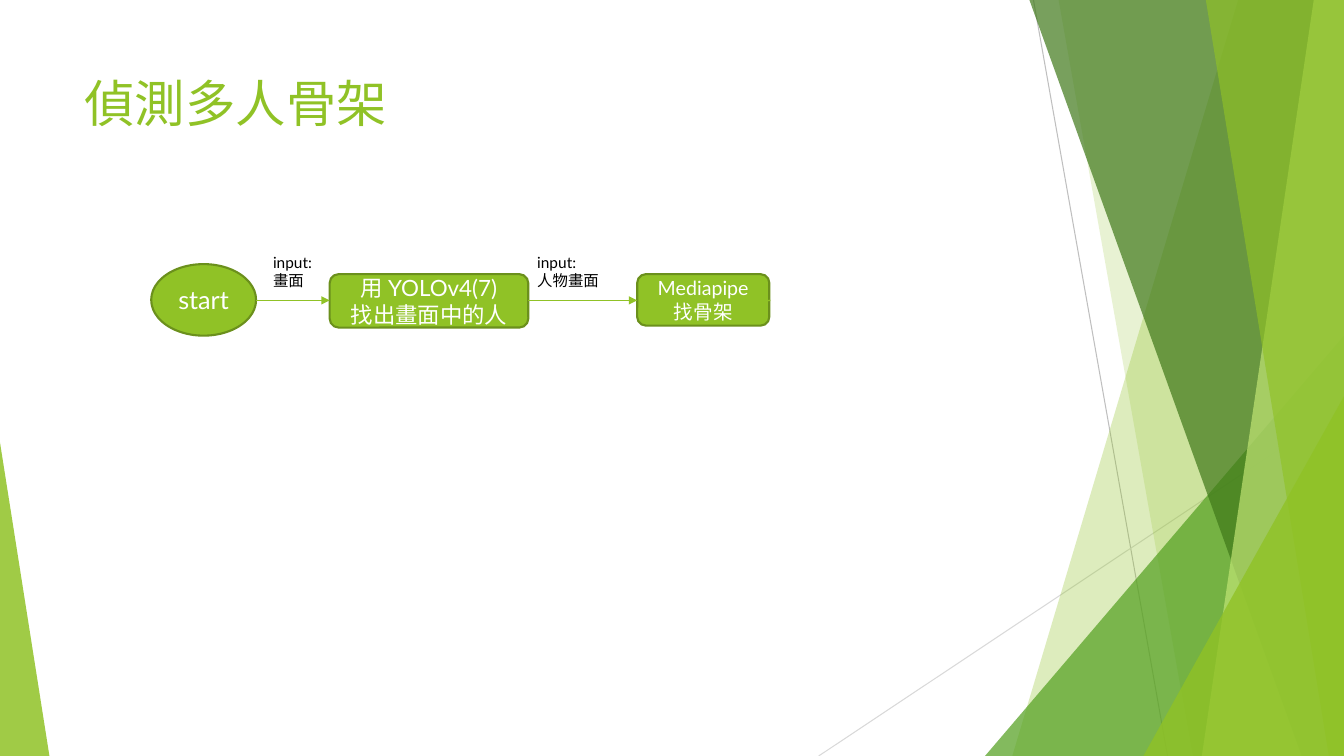
import pptx
import pptx.util
import pptx.dml.color
import pptx.enum.shapes
import pptx.enum.text
import pptx.oxml
import pptx.oxml.ns
from pptx.util import Inches

WIDTH, HEIGHT = 13.33, 7.5
SHAPES = pptx.enum.shapes.MSO_SHAPE
LEFT = pptx.enum.text.PP_ALIGN.LEFT
CENTER = pptx.enum.text.PP_ALIGN.CENTER
TOP = pptx.enum.text.MSO_ANCHOR.TOP
MIDDLE = pptx.enum.text.MSO_ANCHOR.MIDDLE
GREEN, DARK_GREEN = "90C226", "6B901C"


def color(value):
    return pptx.dml.color.RGBColor.from_string(value)


def append_element(parent, tag, **values):
    element = pptx.oxml.parse_xml(f"<{tag} {pptx.oxml.ns.nsdecls('a')}/>")
    for name, value in values.items():
        element.set(name, value)
    parent.append(element)


class SlideBuilder:
    font = "Lato"

    def __init__(self, slide):
        self.slide = slide
        self.shapes = slide.shapes

    def paint(self, shape, fill, opacity=100, line=None):
        shape.shadow.inherit = False
        shape.fill.solid()
        shape.fill.fore_color.rgb = color(fill)
        if opacity < 100:
            tint = shape.fill._xPr.find(".//" + pptx.oxml.ns.qn("a:srgbClr"))
            append_element(tint, "a:alpha", val=str(opacity * 1000))
        if line:
            shape.line.color.rgb = color(line)
            shape.line.width = pptx.util.Pt(1.5)
        else:
            shape.line.fill.background()

    def set_text(self, shape, lines, size, ink, align=LEFT, anchor=TOP):
        frame = shape.text_frame
        frame.word_wrap = True
        frame.vertical_anchor = anchor
        formats = {"name": self.font, "size": pptx.util.Pt(size)}
        for index, line in enumerate(lines):
            para = frame.add_paragraph() if index else frame.paragraphs[0]
            para.alignment = align
            span = para.add_run()
            span.text = line
            for name, value in formats.items():
                setattr(span.font, name, value)
            span.font.color.rgb = color(ink)

    def text(self, area, lines, size, ink):
        box = self.shapes.add_textbox(*map(Inches, area))
        self.set_text(box, lines, size, ink)

    def node(self, kind, area, lines, size):
        shape = self.shapes.add_shape(kind, *map(Inches, area))
        self.paint(shape, GREEN, line=DARK_GREEN)
        self.set_text(shape, lines, size, "FFFFFF", CENTER, MIDDLE)

    def line(self, start, end, ink, width, arrow=False):
        connector = self.shapes.add_connector(
            pptx.enum.shapes.MSO_CONNECTOR.STRAIGHT, *map(Inches, start + end))
        connector.line.color.rgb = color(ink)
        connector.line.width = pptx.util.Pt(width)
        if arrow:
            append_element(connector.line._get_or_add_ln(), "a:tailEnd", type="triangle")
        append_element(connector._element.spPr, "a:effectLst")

    def band(self, top_left, bottom_left, fill, opacity):
        builder = self.shapes.build_freeform(Inches(top_left), 0)
        corners = [(WIDTH, 0), (WIDTH, HEIGHT), (bottom_left, HEIGHT)]
        builder.add_line_segments([tuple(map(Inches, corner)) for corner in corners])
        self.paint(builder.convert_to_shape(), fill, opacity)

    def corner(self, left, top, width, peak, fill, opacity):
        shape = self.shapes.add_shape(
            SHAPES.ISOSCELES_TRIANGLE, *map(Inches, (left, top, width, HEIGHT - top)))
        shape.adjustments[0] = peak
        self.paint(shape, fill, opacity)


def main():
    deck = pptx.Presentation()
    deck.slide_width = Inches(WIDTH)
    deck.slide_height = Inches(HEIGHT)
    page = SlideBuilder(deck.slides.add_slide(deck.slide_layouts[6]))

    page.line((10.25, 0), (11.58, HEIGHT), "BFBFBF", 0.75)
    page.line((WIDTH, 4.03), (8.12, HEIGHT), "D9D9D9", 0.75)
    page.band(12.28, 10.04, GREEN, 30)
    page.band(10.5, 11.83, GREEN, 20)
    page.corner(9.77, 3.33, 3.56, 1, "54A021", 72)
    page.band(10.21, 12.91, "3F7819", 70)
    page.band(13.03, 11.92, "C0E474", 70)
    page.band(11.96, 13.18, GREEN, 65)
    page.corner(11.34, 3.93, 1.99, 1, GREEN, 80)
    page.corner(0, 4.39, 0.49, 0, GREEN, 85)

    page.text((0.74, 0.67, 9.4, 0.77), ["偵測多人骨架"], 36, GREEN)

    page.node(SHAPES.ROUNDED_RECTANGLE, (3.27, 2.72, 1.97, 0.53),
              ["用 YOLOv4(7)", "找出畫面中的人"], 16)
    page.node(SHAPES.OVAL, (1.5, 2.62, 1.04, 0.71), ["start"], 18)
    page.node(SHAPES.ROUNDED_RECTANGLE, (6.32, 2.72, 1.31, 0.51),
              ["Mediapipe", "找骨架"], 14)

    for start, end in [((2.54, 2.98), (3.27, 2.98)),
                       ((5.24, 2.98), (6.32, 2.98)),
                       ((7.64, 2.98), (7.41, 3))]:
        page.line(start, end, GREEN, 1, arrow=True)

    for left, width, subject in [(2.61, 0.66, "畫面"), (5.23, 0.9, "人物畫面")]:
        page.text((left, 2.46, width, 0.47), ["input:", subject], 11, "000000")

    deck.save("out.pptx")


if __name__ == "__main__":
    main()
